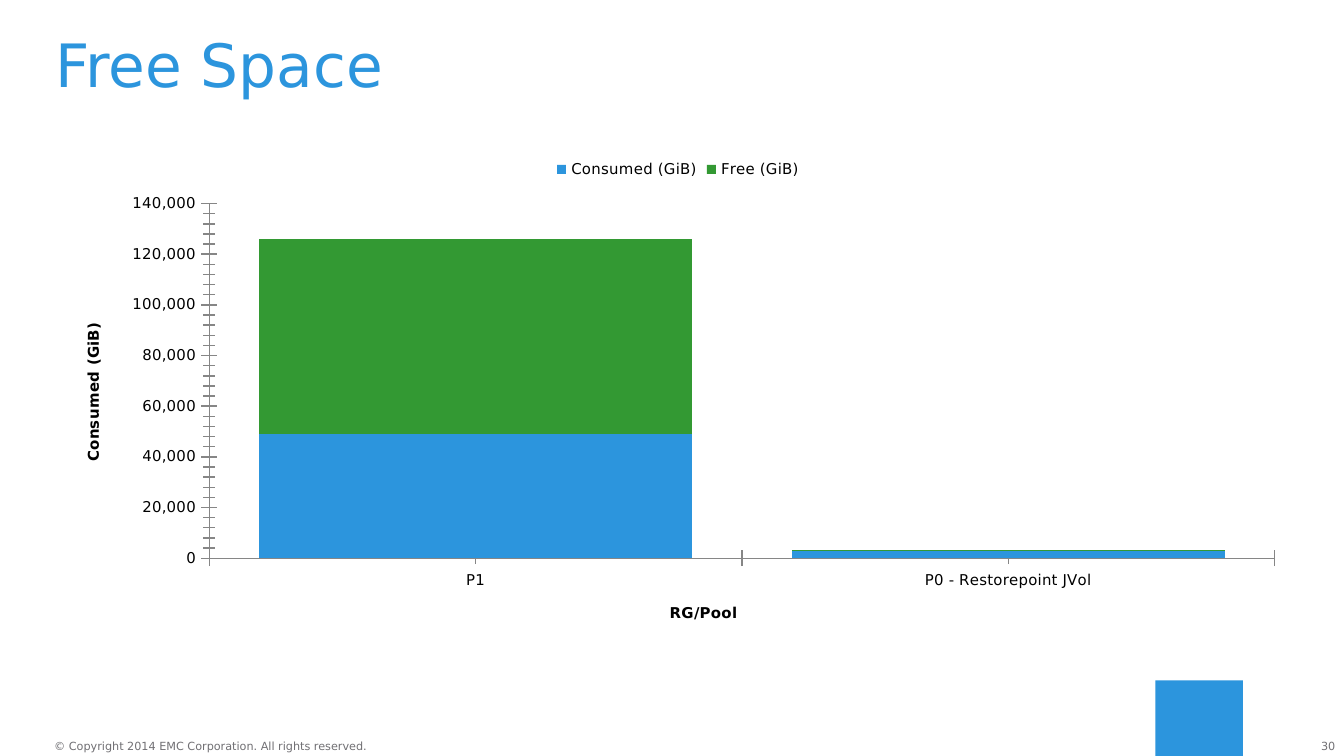
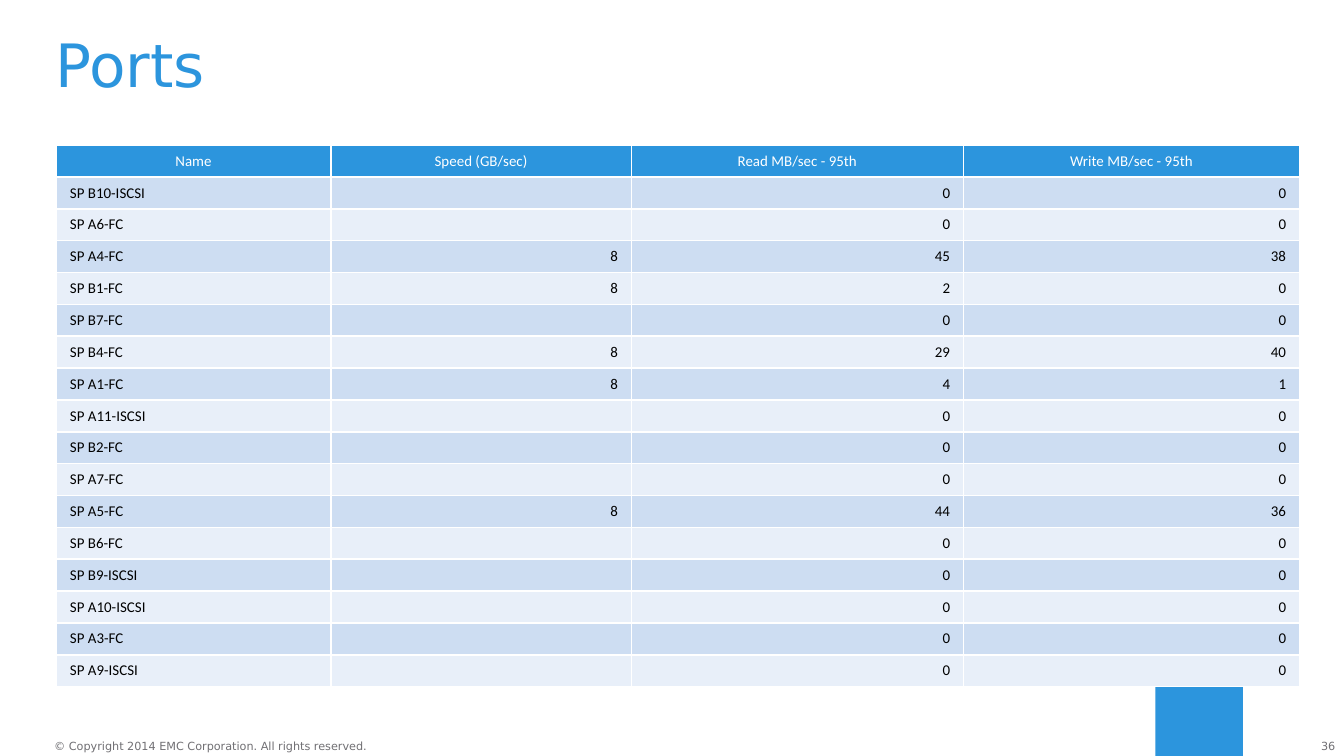
import pptx
import pptx.chart.data
import pptx.dml.color
import pptx.enum.chart
import pptx.enum.shapes
import pptx.enum.text
import pptx.util
from lxml import etree

Pt = pptx.util.Pt
ALIGN = pptx.enum.text.PP_ALIGN
ANCHOR = pptx.enum.text.MSO_ANCHOR
TICK = pptx.enum.chart.XL_TICK_MARK

# Content
COPYRIGHT = "© Copyright 2014 EMC Corporation. All rights reserved."

SPACE = {
    "title": "Free Space",
    "number": "30",
    "pools": ["P1", "P0 - Restorepoint JVol"],
    "series": [
        ("Consumed (GiB)", [49000, 3000], "2C95DD"),
        ("Free (GiB)", [77000, 300], "339933"),
    ],
    "x_title": "RG/Pool",
    "y_title": "Consumed (GiB)",
}

PORTS = {
    "title": "Ports",
    "number": "36",
    "header": ["Name", "Speed (GB/sec)", "Read MB/sec - 95th", "Write MB/sec - 95th"],
    "rows": [
        ("SP B10-ISCSI", "", "0", "0"),
        ("SP A6-FC", "", "0", "0"),
        ("SP A4-FC", "8", "45", "38"),
        ("SP B1-FC", "8", "2", "0"),
        ("SP B7-FC", "", "0", "0"),
        ("SP B4-FC", "8", "29", "40"),
        ("SP A1-FC", "8", "4", "1"),
        ("SP A11-ISCSI", "", "0", "0"),
        ("SP B2-FC", "", "0", "0"),
        ("SP A7-FC", "", "0", "0"),
        ("SP A5-FC", "8", "44", "36"),
        ("SP B6-FC", "", "0", "0"),
        ("SP B9-ISCSI", "", "0", "0"),
        ("SP A10-ISCSI", "", "0", "0"),
        ("SP A3-FC", "", "0", "0"),
        ("SP A9-ISCSI", "", "0", "0"),
    ],
}

# Shared style
BLUE, GREY, BLACK, WHITE, AXIS = "2C95DD", "717074", "000000", "FFFFFF", "868686"
BANDS = ["CDDDF2", "E8EFF9"]
SANS, CALIBRI = "DejaVu Sans", "Calibri"
TITLE_BOX = (29.5, 18, 666, 36)
CONTENT_BOX = (30.24, 77.76, 666, 270)
SQUARE_BOX = (619, 364.5, 46.8, 40.5)
COPYRIGHT_BOX = (29, 396, 171, 7.2)
NUMBER_BOX = (693, 396, 22.3, 7.2)
COLUMN_WIDTHS = [147, 161, 178, 180]
ROW_HEIGHT = 17.05
PLOT_LAYOUT = {"x": 0.123, "y": 0.116, "w": 0.857, "h": 0.704}


def rgb(value):
    return pptx.dml.color.RGBColor.from_string(value)


def box(values):
    return [Pt(v) for v in values]


def set_all(obj, values):
    for name, value in values.items():
        setattr(obj, name, value)


def set_font(font, size, name, color, bold=False):
    set_all(font, {"size": Pt(size), "name": name, "bold": bold})
    font.color.rgb = rgb(color)


def write(sp, text, size, color, align=ALIGN.LEFT, anchor=ANCHOR.TOP, wrap=True):
    tf = sp.text_frame
    set_all(tf, {"margin_left": 0, "margin_right": 0, "margin_top": 0, "margin_bottom": 0,
                 "vertical_anchor": anchor, "word_wrap": wrap,
                 "auto_size": pptx.enum.text.MSO_AUTO_SIZE.NONE})
    p = tf.paragraphs[0]
    p.alignment = align
    r = p.add_run()
    r.text = text
    set_font(r.font, size, SANS, color)
    return p


def new_slide(prs, content):
    """Add a slide with its title, corner square and footer."""
    s = prs.slides.add_slide(prs.slide_layouts[0])
    subtitle = s.placeholders[1].element
    subtitle.getparent().remove(subtitle)

    title = s.shapes.title
    set_all(title, dict(zip(("left", "top", "width", "height"), box(TITLE_BOX))))
    write(title, content["title"], 32, BLUE, anchor=ANCHOR.BOTTOM).line_spacing = 0.9

    square = s.shapes.add_shape(pptx.enum.shapes.MSO_SHAPE.RECTANGLE, *box(SQUARE_BOX))
    square.shadow.inherit = False
    square.fill.solid()
    square.fill.fore_color.rgb = rgb(BLUE)
    square.line.fill.background()

    write(s.shapes.add_textbox(*box(COPYRIGHT_BOX)), COPYRIGHT, 6, GREY, wrap=False)
    write(s.shapes.add_textbox(*box(NUMBER_BOX)), content["number"], 6, GREY, ALIGN.RIGHT)
    return s


def place_plot(chart):
    """Fix the inner plot area as fractions of the chart."""
    area = chart.plots[0]._element.getparent()
    ns = etree.QName(area).namespace
    for old in area.findall(f"{{{ns}}}layout"):
        area.remove(old)
    layout = etree.Element(f"{{{ns}}}layout")
    manual = etree.SubElement(layout, f"{{{ns}}}manualLayout")
    settings = {"layoutTarget": "inner", "xMode": "edge", "yMode": "edge", **PLOT_LAYOUT}
    for name, value in settings.items():
        etree.SubElement(manual, f"{{{ns}}}{name}").set("val", str(value))
    area.insert(0, layout)


def add_space_chart(s, content):
    data = pptx.chart.data.CategoryChartData(number_format="#,##0")
    data.categories = content["pools"]
    for name, values, _ in content["series"]:
        data.add_series(name, values)
    kind = pptx.enum.chart.XL_CHART_TYPE.COLUMN_STACKED
    chart = s.shapes.add_chart(kind, *box(CONTENT_BOX), data).chart
    chart.has_title = False
    set_font(chart.font, 8, SANS, BLACK)

    # Columns
    plot = chart.plots[0]
    set_all(plot, {"gap_width": 23, "overlap": 100, "vary_by_categories": False})
    for series, (_, _, color) in zip(plot.series, content["series"]):
        series.format.fill.solid()
        series.format.fill.fore_color.rgb = rgb(color)

    # Legend
    chart.has_legend = True
    set_all(chart.legend, {"position": pptx.enum.chart.XL_LEGEND_POSITION.TOP,
                           "include_in_layout": False})

    # Axes
    axes = [(chart.category_axis, content["x_title"], TICK.OUTSIDE),
            (chart.value_axis, content["y_title"], TICK.CROSS)]
    for axis, title, minor in axes:
        set_all(axis, {"has_major_gridlines": False, "major_tick_mark": TICK.CROSS,
                       "minor_tick_mark": minor})
        axis.format.line.color.rgb = rgb(AXIS)
        p = axis.axis_title.text_frame.paragraphs[0]
        r = p.add_run()
        r.text = title
        set_font(r.font, 8, SANS, BLACK, bold=True)
    set_all(chart.value_axis, {"minimum_scale": 0, "maximum_scale": 140000,
                               "major_unit": 20000, "minor_unit": 4000})
    labels = chart.value_axis.tick_labels
    set_all(labels, {"number_format": "#,##0", "number_format_is_linked": False})
    place_plot(chart)


def add_ports_table(s, content):
    rows = [content["header"], *content["rows"]]
    left, top, width, _ = CONTENT_BOX
    frame = box((left, top, width, ROW_HEIGHT * len(rows)))
    table = s.shapes.add_table(len(rows), len(COLUMN_WIDTHS), *frame).table
    for column, column_width in zip(table.columns, COLUMN_WIDTHS):
        column.width = Pt(column_width)

    for i, row in enumerate(rows):
        table.rows[i].height = Pt(ROW_HEIGHT)
        for j, text in enumerate(row):
            cell = table.cell(i, j)
            cell.fill.solid()
            cell.fill.fore_color.rgb = rgb(BANDS[(i - 1) % 2] if i else BLUE)
            p = cell.text_frame.paragraphs[0]
            if not text:
                # Keep empty cells as low as the others
                p._p.get_or_add_endParaRPr().set("sz", "800")
                continue
            p.alignment = ALIGN.CENTER if i == 0 else ALIGN.RIGHT if j else ALIGN.LEFT
            r = p.add_run()
            r.text = text
            set_font(r.font, 8, CALIBRI, BLACK if i else WHITE)


def main():
    prs = pptx.Presentation()
    set_all(prs, {"slide_width": Pt(720), "slide_height": Pt(405)})
    add_space_chart(new_slide(prs, SPACE), SPACE)
    add_ports_table(new_slide(prs, PORTS), PORTS)
    prs.save("out.pptx")


if __name__ == "__main__":
    main()
